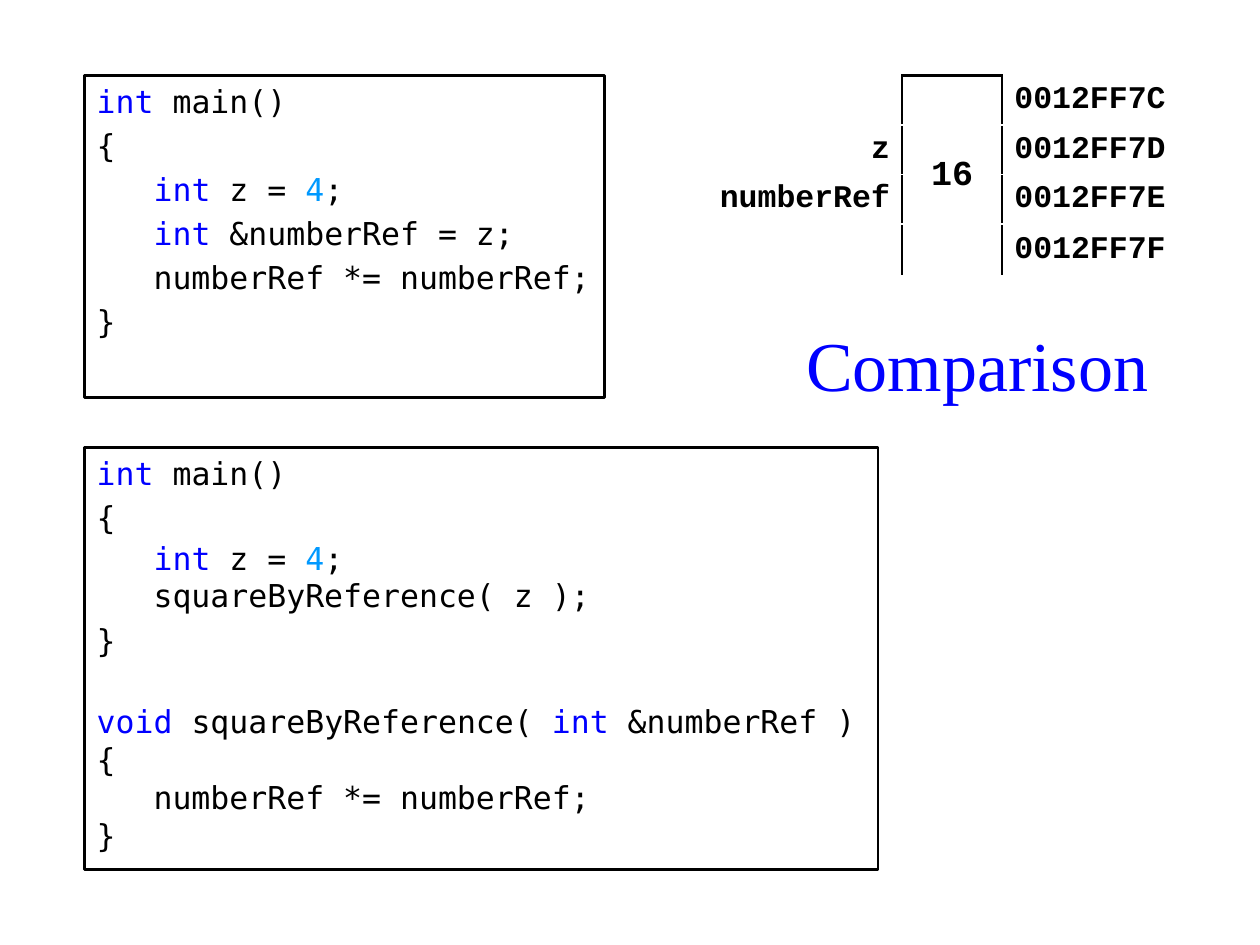
from lxml import etree
from pptx import Presentation
from pptx import util as u
from pptx.dml.color import RGBColor
from pptx.enum import text
from pptx.oxml import parse_xml
from pptx.oxml.ns import nsdecls

COLOURS = {"plain": "000000", "keyword": "0000FF", "number": "0099FF"}
TITLE = "Comparison"
CODE_FONT, TABLE_FONT, TITLE_FONT = "DejaVu Sans Mono", "Courier New", "Times New Roman"
CODE_SIZE = 18

INT = ("int", "keyword")
MAIN = [INT, (" main()", "plain")]
OPEN, CLOSE = [("{", "plain")], [("}", "plain")]
INDENT = ("   ", "plain")
DECLARE = [INDENT, INT, (" z = ", "plain"), ("4", "number"), (";", "plain")]
SQUARE = [("   numberRef *= numberRef;", "plain")]
REFERENCE = [INDENT, INT, (" &numberRef = z;", "plain")]
CALL = [("   squareByReference( z );", "plain")]
FUNCTION = [("void ", "keyword"), ("squareByReference( ", "plain"), INT,
            (" &numberRef )", "plain")]

LISTINGS = [
    ((1.7, 9.02, 16, 8.51),
     [(0, MAIN), (3.6, OPEN), (1.8, DECLARE), (0, CALL), (3.6, CLOSE),
      (25, FUNCTION), (0, OPEN), (0, SQUARE), (0, CLOSE)]),
    ((1.7, 1.52, 10.49, 6.5),
     [(0, MAIN)] + [(3.6, line) for line in (OPEN, DECLARE, REFERENCE, SQUARE, CLOSE)]),
]

MEMORY = [
    ("", "16", "0012FF7C"),
    ("z", "", "0012FF7D"),
    ("numberRef", "", "0012FF7E"),
    ("", "", "0012FF7F"),
]
MEMORY_LEFT, MEMORY_TOP, ROW_HEIGHT = 14.2, 1.52, 1
COLUMNS = [
    (3.99, 18, text.PP_ALIGN.RIGHT, 0.25),
    (2.01, 20, text.PP_ALIGN.CENTER, 0.25),
    (3.51, 18, text.PP_ALIGN.LEFT, 0.2),
]


def colour(name):
    return RGBColor.from_string(COLOURS[name])


def style(font, face, size, name):
    font.name, font.size = face, u.Pt(size)
    font.color.rgb = colour(name)


def add_title(slide):
    title = slide.shapes.title
    title.left, title.top, title.width, title.height = map(u.Cm, (16, 6.22, 8.81, 2.21))
    frame = title.text_frame
    frame.text = TITLE
    frame.vertical_anchor = text.MSO_ANCHOR.MIDDLE
    frame.paragraphs[0].alignment = text.PP_ALIGN.LEFT
    style(frame.paragraphs[0].runs[0].font, TITLE_FONT, 40, "keyword")


def add_listing(slide, place, lines):
    listing = slide.shapes.add_textbox(*map(u.Cm, place))
    listing.line.color.rgb = colour("plain")
    listing.line.width = u.Pt(1.5)
    frame = listing.text_frame
    frame.word_wrap = True
    frame.margin_right = 0
    for number, (gap, parts) in enumerate(lines):
        line = frame.add_paragraph() if number else frame.paragraphs[0]
        line.space_before = u.Pt(gap)
        for wording, name in parts:
            run = line.add_run()
            run.text = wording
            style(run.font, CODE_FONT, CODE_SIZE, name)


def add_borders(cell, sides):
    properties = cell._tc.get_or_add_tcPr()
    for position, side in enumerate(sides):
        border = parse_xml(f'<a:ln{side} {nsdecls("a")} w="{u.Pt(1.5)}"/>')
        fill = etree.SubElement(border, "{%s}solidFill" % border.nsmap["a"])
        etree.SubElement(fill, "{%s}srgbClr" % border.nsmap["a"], val=COLOURS["plain"])
        properties.insert(position, border)


def add_memory(slide):
    last = len(MEMORY) - 1
    place = (MEMORY_LEFT, MEMORY_TOP, sum(c[0] for c in COLUMNS), ROW_HEIGHT * len(MEMORY))
    memory = slide.shapes.add_table(len(MEMORY), len(COLUMNS), *map(u.Cm, place)).table
    memory.first_row = memory.horz_banding = False
    for row, entries in enumerate(MEMORY):
        memory.rows[row].height = u.Cm(ROW_HEIGHT)
        value_sides = "LR" + "T" * (row == 0) + "B" * (row == last)
        for column, (entry, sides) in enumerate(zip(entries, ("R", value_sides, "L"))):
            width, size, alignment, right = COLUMNS[column]
            memory.columns[column].width = u.Cm(width)
            cell = memory.cell(row, column)
            cell.fill.background()
            cell.vertical_anchor = text.MSO_ANCHOR.MIDDLE
            cell.margin_left, cell.margin_right = u.Cm(0.25), u.Cm(right)
            cell.margin_top = cell.margin_bottom = u.Cm(0.1)
            add_borders(cell, sides)
            cell.text_frame.text = entry
            paragraph = cell.text_frame.paragraphs[0]
            paragraph.alignment = alignment
            style(paragraph.font, TABLE_FONT, size, "plain")
            for run in paragraph.runs:
                style(run.font, TABLE_FONT, size, "plain")
                run.font.bold = True
    memory.cell(0, 1).merge(memory.cell(last, 1))


def main():
    """Build the slide comparing a reference variable with a reference parameter."""
    deck = Presentation()
    deck.slide_width, deck.slide_height = u.Cm(25.4), u.Cm(19.05)
    slide = deck.slides.add_slide(deck.slide_layouts[5])
    add_title(slide)
    for place, lines in LISTINGS:
        add_listing(slide, place, lines)
    add_memory(slide)
    deck.save("out.pptx")


if __name__ == "__main__":
    main()
